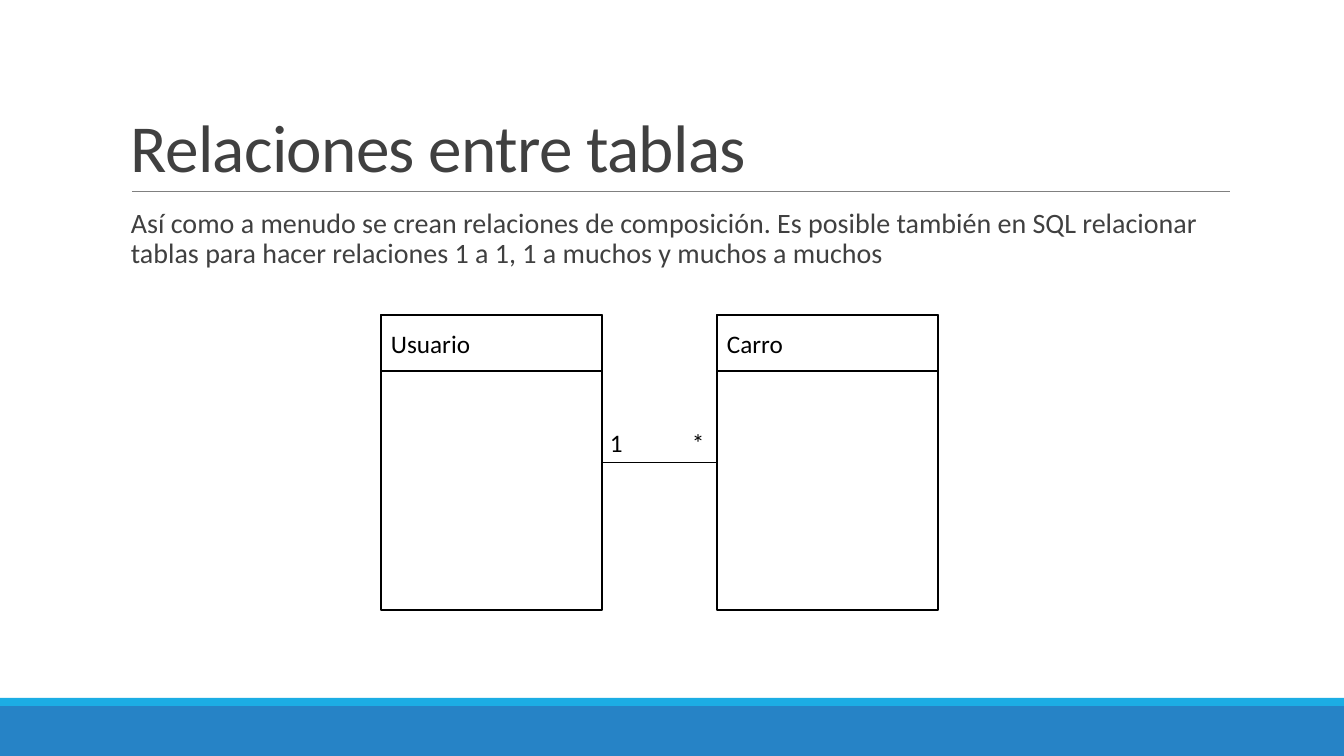
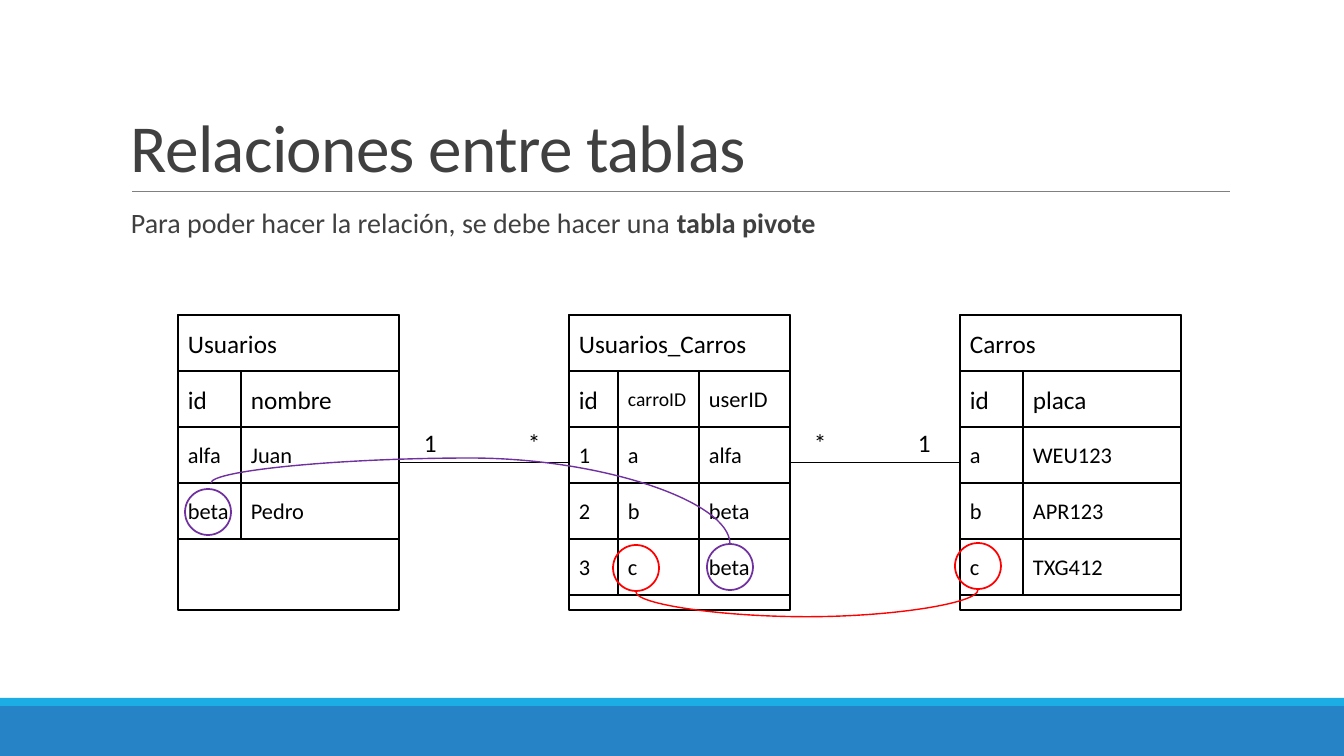
import pptx
import pptx.util
import pptx.dml.color
import pptx.enum.shapes
import pptx.enum.text
import pptx.oxml.ns
from lxml import etree

SCALE = 12192000 / 1344
KIND = pptx.enum.shapes.MSO_SHAPE
LINK = pptx.enum.shapes.MSO_CONNECTOR
SIDE = pptx.enum.text.PP_ALIGN
EDGE = pptx.enum.text.MSO_ANCHOR
TOP, WIDE, TALL, ROW = 315, 221, 295, 56


def px(*nums):
    return [pptx.util.Emu(round(num * SCALE)) for num in nums]


def tint(code):
    return pptx.dml.color.RGBColor.from_string(code)


def sub(node, tag, **keys):
    part = etree.SubElement(node, pptx.oxml.ns.qn(tag))
    for key, val in keys.items():
        part.set(key, str(val))
    return part


class Deck:
    """Holds the shared style and the current slide."""

    face = "Calibri"
    ink, gray, rule = "000000", "404040", "808080"
    blue, sky, white = "2683C6", "1CADE4", "FFFFFF"
    red, plum = "FF0000", "7030A0"

    def __init__(self):
        self.show = pptx.Presentation()
        self.show.slide_width, self.show.slide_height = px(1344, 756)

    def page(self, title, *body):
        self.slide = self.show.slides.add_slide(self.show.slide_layouts[6])
        self.shape(KIND.RECTANGLE, 0, 706, 1344, 50, self.blue)
        self.shape(KIND.RECTANGLE, 0, 698, 1344, 8, self.sky)
        self.line(self.rule, 0.5, 132, 191, 1230, 191)
        head = self.text(121, 31, 1109, 160, [title], 48, self.gray)
        head.line_spacing = 0.85
        head.runs[0]._r.get_or_add_rPr().set("spc", "-50")
        para = self.text(121, 204, 1109, 444, body, 20, self.gray, EDGE.TOP)
        para.line_spacing = 0.9

    def style(self, para, size, color):
        para.alignment = SIDE.LEFT
        para.font.size = pptx.util.Pt(size)
        para.font.name = self.face
        para.font.color.rgb = tint(color)

    def text(self, x, y, w, h, parts, size, color, edge=EDGE.BOTTOM, tab=0):
        frame = self.slide.shapes.add_textbox(*px(x, y, w, h)).text_frame
        frame.word_wrap = True
        frame.vertical_anchor = edge
        para = frame.paragraphs[0]
        if tab:
            tabs = sub(para._p.get_or_add_pPr(), "a:tabLst")
            sub(tabs, "a:tab", pos=px(tab)[0], algn="l")
        for spot, part in enumerate(parts):
            run = para.add_run()
            run.text = part
            if spot % 2:
                run.font.bold = True
        self.style(para, size, color)
        return para

    def shape(self, kind, x, y, w, h, fill=None, line=None):
        form = self.slide.shapes.add_shape(kind, *px(x, y, w, h))
        form.shadow.inherit = False
        if fill:
            form.fill.solid()
            form.fill.fore_color.rgb = tint(fill)
        else:
            form.fill.background()
        if line:
            form.line.color.rgb = tint(line)
            form.line.width = pptx.util.Pt(1.25)
        else:
            form.line.fill.background()
        return form

    def cell(self, x, y, w, h, text="", size=18):
        form = self.shape(KIND.RECTANGLE, x, y, w, h, self.white, self.ink)
        if text:
            frame = form.text_frame
            frame.word_wrap = True
            frame.vertical_anchor = EDGE.MIDDLE
            frame.text = text
            self.style(frame.paragraphs[0], size, self.ink)
        return form

    def entity(self, x, name):
        form = self.cell(x, TOP, WIDE, TALL)
        self.cell(x, TOP, WIDE, ROW, name)
        return form

    def grid(self, x, cols, heads, rows):
        for rank, row in enumerate([heads, *rows]):
            left = x
            for spot, (wide, text) in enumerate(zip(cols, row)):
                size = 16 if rank else (18, 14, 16)[spot] if len(cols) > 2 else 18
                self.cell(left, TOP + ROW * (rank + 1), wide, ROW, text, size)
                left += wide

    def line(self, color, width, *ends, kind=LINK.STRAIGHT):
        link = self.slide.shapes.add_connector(kind, *px(*ends))
        link.line.color.rgb = tint(color)
        link.line.width = pptx.util.Pt(width)
        sub(link._element.spPr, "a:effectLst")
        return link

    def join(self, left, right):
        link = self.line(self.ink, 1, 0, 0, 9, 9)
        link.begin_connect(left, 3)
        link.end_connect(right, 1)

    def label(self, x, w, text, tab):
        self.text(x, 422, w, 40, [text], 18, self.ink, EDGE.TOP, tab)

    def ring(self, x, y, color):
        self.shape(KIND.OVAL, x, y, 46, 46, None, color)

    def arc(self, color, xa, ya, xb, yb, bend):
        run, rise = xb - xa, abs(yb - ya)
        midx, midy = (xa + xb) / 2, (ya + yb) / 2
        link = self.line(color, 1, midx - rise / 2, midy - run / 2,
                         midx + rise / 2, midy + run / 2, kind=LINK.CURVE)
        down = yb > ya
        form = link._element.spPr.find(pptx.oxml.ns.qn("a:xfrm"))
        form.set("rot", str((270 if down else 90) * 60000))
        form.set("flipH", "1")
        if not down:
            form.set("flipV", "1")
        geom = link._element.spPr.find(pptx.oxml.ns.qn("a:prstGeom"))
        vals = geom.find(pptx.oxml.ns.qn("a:avLst"))
        ratio = round((bend - ya) / (yb - ya) * 100000)
        sub(vals, "a:gd", name="adj1", fmla=f"val {ratio}")


def main():
    deck = Deck()
    title = "Relaciones entre tablas"

    deck.page(title, "Así como a menudo se crean relaciones de composición. "
              "Es posible también en SQL relacionar tablas para hacer "
              "relaciones 1 a 1, 1 a muchos y muchos a muchos")
    user, car = deck.entity(381, "Usuario"), deck.entity(717, "Carro")
    deck.label(600, 117, "1\t*", 82)
    deck.join(user, car)

    deck.page(title, "Para poder hacer la relación, se debe hacer una ",
              "tabla pivote")
    lefts = [178 + 391 * spot for spot in range(3)]
    names = ["Usuarios", "Usuarios_Carros", "Carros"]
    users, pivot, cars = map(deck.entity, lefts, names)
    deck.join(users, pivot)
    deck.join(pivot, cars)
    deck.label(414, 140, "1\t*", 104)
    deck.label(804, 140, "*\t1", 104)
    deck.grid(lefts[0], [63, 158], ["id", "nombre"],
              [["alfa", "Juan"], ["beta", "Pedro"]])
    deck.grid(lefts[1], [49, 81, 91], ["id", "carroID", "userID"],
              [["1", "a", "alfa"], ["2", "b", "beta"], ["3", "c", "beta"]])
    deck.grid(lefts[2], [63, 158], ["id", "placa"],
              [["a", "WEU123"], ["b", "APR123"], ["c", "TXG412"]])
    deck.ring(613, 545, deck.red)
    deck.ring(955, 543, deck.red)
    deck.ring(707, 544, deck.plum)
    deck.ring(185, 489, deck.plum)
    deck.arc(deck.plum, 211, 483, 730, 544, 458)
    deck.arc(deck.red, 636, 592, 978, 590, 617)

    deck.show.save("out.pptx")


if __name__ == "__main__":
    main()
